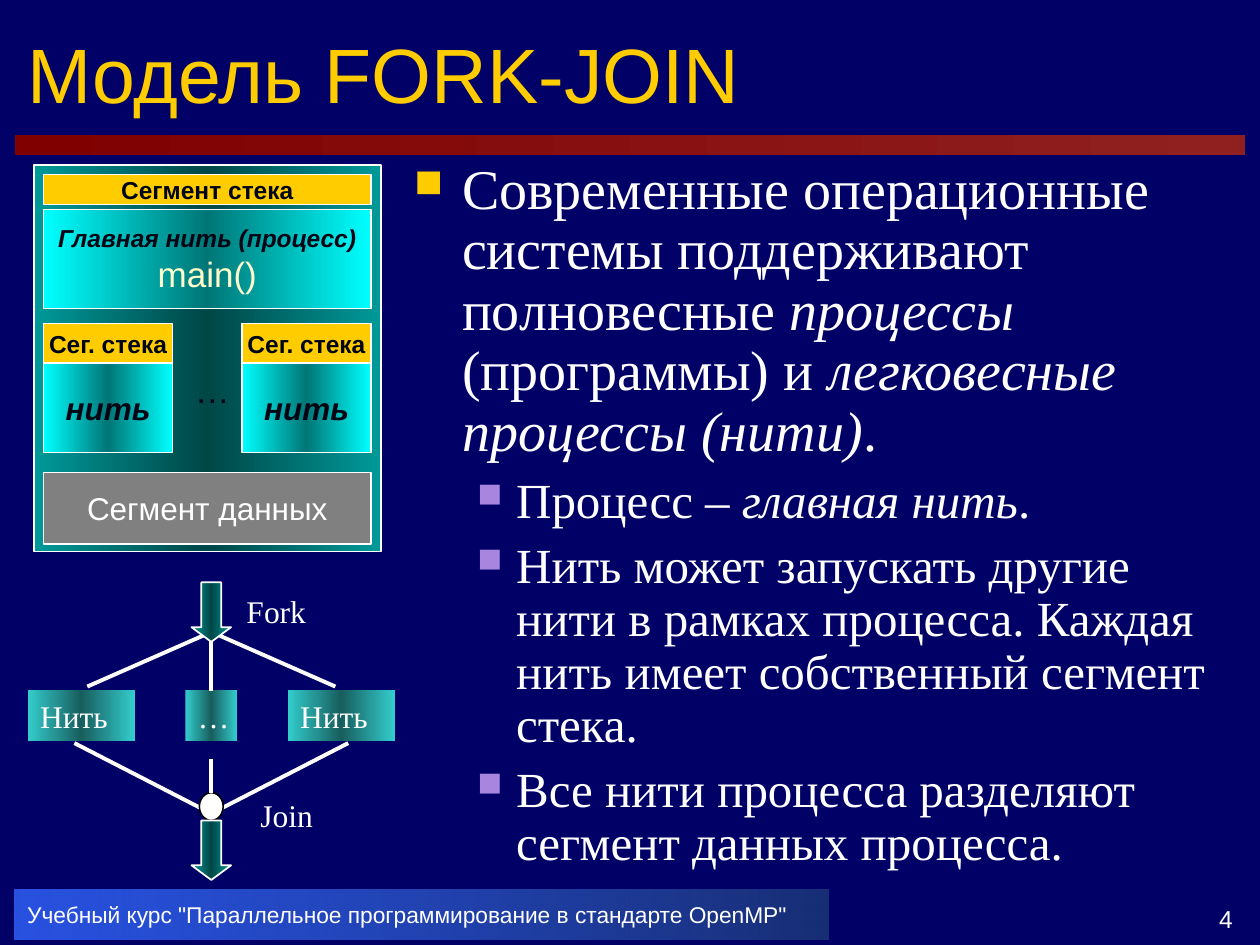
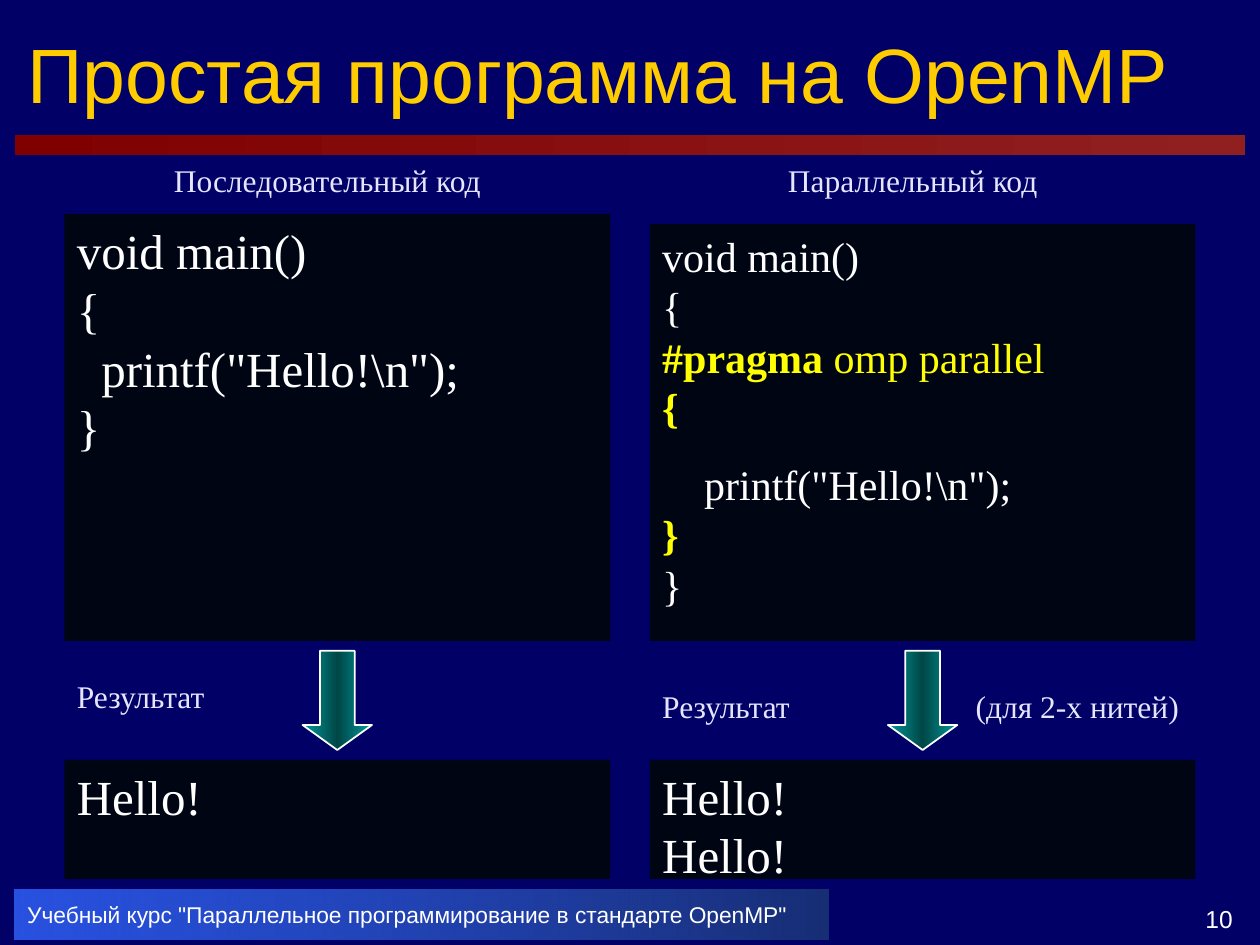
from dataclasses import dataclass

from lxml import etree
from pptx import Presentation
from pptx.dml.color import RGBColor
from pptx.enum.shapes import MSO_CONNECTOR, MSO_SHAPE
from pptx.enum.text import MSO_ANCHOR, PP_ALIGN
from pptx.oxml.ns import qn
from pptx.util import Emu, Inches, Pt

RECTANGLE, OVAL, DOWN_ARROW = MSO_SHAPE.RECTANGLE, MSO_SHAPE.OVAL, MSO_SHAPE.DOWN_ARROW
STRAIGHT = MSO_CONNECTOR.STRAIGHT
TOP, MIDDLE, BOTTOM = MSO_ANCHOR.TOP, MSO_ANCHOR.MIDDLE, MSO_ANCHOR.BOTTOM
LEFT, CENTER, RIGHT = PP_ALIGN.LEFT, PP_ALIGN.CENTER, PP_ALIGN.RIGHT

WIDTH, HEIGHT = Inches(10), Inches(7.5)
UNIT = WIDTH / 127  # square grid: 127 columns across the slide


@dataclass(frozen=True)
class Theme:
    sans: str = "Arial"
    serif: str = "Times New Roman"
    background: str = "000066"
    white: str = "FFFFFF"
    black: str = "000000"
    ink: str = "000514"
    gold: str = "FFCC00"
    violet: str = "A886E0"
    cream: str = "FFFFCC"
    caption: str = "E5E5FF"
    keyword: str = "FFFF00"
    gray: str = "808080"
    # Gradient stops: position, colour, opacity (all in percent)
    stripe: tuple = ((0, "800000", 100), (100, "902020", 100))
    footer: tuple = ((0, "3366FF", 80), (100, "182F76", 100))
    teal: tuple = ((0, "009999", 100), (50, "004747", 100), (100, "009999", 100))
    cyan: tuple = ((0, "00FFFF", 100), (50, "007676", 100), (100, "00FFFF", 100))
    node: tuple = ((0, "33CCCC", 100), (50, "185E5E", 100), (100, "33CCCC", 100))
    title_size: int = 44
    body_size: int = 32
    large_size: int = 28
    code_size: int = 24
    main_size: int = 20
    label_size: int = 18
    small_size: int = 14
    footer_size: int = 13


THEME = Theme()


@dataclass(frozen=True)
class Box:
    """A rectangle in grid units."""
    left: float
    top: float
    width: float = 0
    height: float = 0

    def inner(self, left, top, width=0, height=0):
        return Box(self.left + left, self.top + top, width, height)

    def emu(self):
        return [Emu(round(value * UNIT))
                for value in (self.left, self.top, self.width, self.height)]


def rgb(color):
    return RGBColor.from_string(color)


def paint(shape, fill):
    """Fill with a plain colour or with gradient stops running left to right."""
    if isinstance(fill, str):
        shape.fill.solid()
        shape.fill.fore_color.rgb = rgb(fill)
        return
    shape.fill.gradient()
    shape.fill.gradient_angle = 0
    stops = shape._element.spPr.find(".//" + qn("a:gsLst"))
    for stop in list(stops):
        stops.remove(stop)
    for position, color, opacity in fill:
        stop = etree.SubElement(stops, qn("a:gs"), pos=str(position * 1000))
        value = etree.SubElement(stop, qn("a:srgbClr"), val=color)
        if opacity < 100:
            etree.SubElement(value, qn("a:alpha"), val=str(opacity * 1000))


def add_shape(slide, box, fill, kind=RECTANGLE, line=None, line_width=0.75):
    shape = slide.shapes.add_shape(kind, *box.emu())
    shape.shadow.inherit = False
    paint(shape, fill)
    if line:
        shape.line.color.rgb = rgb(line)
        shape.line.width = Pt(line_width)
    else:
        shape.line.fill.background()
    return shape


def add_arrow(slide, box, head):
    arrow = add_shape(slide, box, THEME.teal, DOWN_ARROW, THEME.white, 1)
    arrow.adjustments[0], arrow.adjustments[1] = 0.5, head


def add_line(slide, start, end):
    x1, y1 = start.emu()[:2]
    x2, y2 = end.emu()[:2]
    connector = slide.shapes.add_connector(STRAIGHT, x1, y1, x2, y2)
    connector.line.color.rgb = rgb(THEME.white)
    connector.line.width = Pt(2.25)
    etree.SubElement(connector._element.spPr, qn("a:effectLst"))
    return connector


def add_bullet(paragraph, color, margin, indent):
    properties = paragraph._p.get_or_add_pPr()
    properties.set("marL", str(Inches(margin)))
    properties.set("indent", str(-Inches(indent)))
    bullet_color = etree.SubElement(properties, qn("a:buClr"))
    etree.SubElement(bullet_color, qn("a:srgbClr"), val=color)
    etree.SubElement(properties, qn("a:buSzPct"), val="70000")
    etree.SubElement(properties, qn("a:buChar"), char="■")


def add_tab(paragraph, columns):
    tabs = etree.SubElement(paragraph._p.get_or_add_pPr(), qn("a:tabLst"))
    etree.SubElement(tabs, qn("a:tab"), pos=str(round(columns * UNIT)), algn="l")


def write(frame, text, size, color=THEME.white, font=THEME.serif, bold=False,
          italic=False, align=LEFT, anchor=TOP, wrap=False, before=0,
          spacing=None, bullet=None, tab=None, level=0, more=False):
    """Write one paragraph; text is a string or a list of (text, changes) runs.

    With more=True the paragraph follows those already in the frame.
    """
    if more:
        paragraph = frame.add_paragraph()
    else:
        paragraph = frame.paragraphs[0]
        frame.word_wrap = wrap
        frame.vertical_anchor = anchor
    if bullet:
        add_bullet(paragraph, *bullet)
    if tab:
        add_tab(paragraph, tab)
    paragraph.level = level
    paragraph.alignment = align
    paragraph.space_before = Pt(before)
    if spacing:
        paragraph.line_spacing = spacing
    runs = [(text, {})] if isinstance(text, str) else text
    for content, changes in runs:
        style = {"color": color, "bold": bold, "italic": italic, **changes}
        for number, line in enumerate(content.split("\n")):
            if number:
                paragraph.add_line_break()
            if line:
                run = paragraph.add_run()
                run.text = line
                run.font.name, run.font.size = font, Pt(size)
                run.font.bold, run.font.italic = style["bold"], style["italic"]
                run.font.color.rgb = rgb(style["color"])


def add_text(slide, box, text, size, **style):
    frame = slide.shapes.add_textbox(*box.emu()).text_frame
    write(frame, text, size, **style)
    return frame


def add_panel(slide, box, fill, text, size, line=None, **style):
    shape = add_shape(slide, box, fill, line=line)
    write(shape.text_frame, text, size, **style)
    return shape


def add_base(presentation, title, number):
    """Background, title, stripe, footer and slide number."""
    slide = presentation.slides.add_slide(presentation.slide_layouts[6])
    slide.background.fill.solid()
    slide.background.fill.fore_color.rgb = rgb(THEME.background)
    add_shape(slide, Box(1.5, 13.6, 124, 2), THEME.stripe)
    add_text(slide, Box(1.5, 1.1, 124, 12.5), title, THEME.title_size,
             color=THEME.gold, font=THEME.sans, anchor=MIDDLE, wrap=True)
    footer = Box(1.5, 89.7, 82, 5)
    add_panel(slide, footer, THEME.footer,
              'Учебный курс "Параллельное программирование в стандарте OpenMP"',
              THEME.footer_size, font=THEME.sans, anchor=MIDDLE)
    add_text(slide, footer.inner(111, 0, 13, 5), str(number), THEME.small_size,
             font=THEME.sans, align=RIGHT, anchor=BOTTOM, wrap=True)
    return slide


def add_process(slide, box):
    """Memory of a process: stacks, threads and the data segment."""
    centered = {"font": THEME.sans, "align": CENTER, "anchor": MIDDLE}
    framed = {**centered, "line": THEME.white}
    stack = {**framed, "color": THEME.ink, "bold": True}
    thread = {**stack, "italic": True}
    add_shape(slide, box, THEME.teal, line=THEME.white, line_width=1)
    add_panel(slide, box.inner(1, 1, 33, 3), THEME.gold, "Сегмент стека",
              THEME.small_size, **stack)
    main_thread = add_panel(slide, box.inner(1, 4.5, 33, 10), THEME.cyan,
                            "Главная нить (процесс)", THEME.small_size, **thread)
    write(main_thread.text_frame, "main()", THEME.main_size, more=True,
          color=THEME.cream, font=THEME.sans, align=CENTER)
    for left in (1, 21):
        add_panel(slide, box.inner(left, 20, 13, 9), THEME.cyan, "нить",
                  THEME.label_size, **thread)
        add_panel(slide, box.inner(left, 16, 13, 4), THEME.gold, "Сег. стека",
                  THEME.small_size, **stack)
    add_text(slide, box.inner(15, 21, 5, 3.3), "…", THEME.main_size,
             color=THEME.ink, **centered)
    add_panel(slide, box.inner(1, 31, 33, 7.25), THEME.gray, "Сегмент данных",
              THEME.label_size, **framed)


def add_fork_join(slide, box):
    """Threads that separate at the fork and meet at the join."""
    axis = box.width / 2
    fork, join = box.inner(axis, 5), box.inner(axis, 23.3)

    # Outer branches
    for side in (-1, 1):
        add_line(slide, fork, box.inner(axis + side * 12.5, 10.5))
        add_line(slide, box.inner(axis + side * 13.8, 16.2), join)

    # Threads and join point
    side_width, middle_width = 10.8, 5.2
    for left, width, text in ((0, side_width, "Нить"),
                              (box.width - side_width, side_width, "Нить"),
                              (axis - middle_width / 2, middle_width, "…")):
        node = add_panel(slide, box.inner(left, 10.9, width, 5.1), THEME.node,
                         text, THEME.label_size)
    middle_branch = add_line(slide, fork, box.inner(axis, 10.9))
    middle_branch.end_connect(node, 0)
    point = add_shape(slide, box.inner(axis - 1.2, 21.2, 2.4, 2.8), THEME.white,
                      OVAL, THEME.black, 0.88)
    middle_return = add_line(slide, box.inner(axis, 17.8), box.inner(axis, 21.2))
    middle_return.end_connect(point, 0)

    # Arrows and their labels
    for top in (0, box.height - 6):
        add_arrow(slide, box.inner(axis - 2, top, 4, 6), 0.37)
    add_text(slide, box.inner(20.8, 0.4, 9.5, 5.1), "Fork", THEME.label_size)
    add_text(slide, box.inner(22.2, 20.9, 8.5, 5.1), "Join", THEME.label_size)


def add_body(slide, box):
    """Main statement with its points."""
    slanted = {"italic": True}
    frame = add_text(slide, box, [
        ("Современные операционные системы поддерживают полновесные ", {}),
        ("процессы", slanted), (" (программы) и ", {}),
        ("легковесные процессы (нити)", slanted), (".", {}),
    ], THEME.body_size, wrap=True, spacing=0.9, bullet=(THEME.gold, 0.38, 0.38))
    points = (
        [("Процесс – ", {}), ("главная нить", slanted), (".", {})],
        "Нить может запускать другие нити в рамках процесса. "
        "Каждая нить имеет собственный сегмент стека.",
        "Все нити процесса разделяют сегмент данных процесса.",
    )
    for point in points:
        write(frame, point, THEME.large_size, more=True, level=1, before=7,
              spacing=0.9, bullet=(THEME.violet, 0.81, 0.31))


def add_program(slide, box, caption, code, code_size, result, output, drop=0):
    """Caption, code, arrow and output; drop lowers the code and result label."""
    label = {"color": THEME.caption, "wrap": True}
    width = box.width
    add_text(slide, box.inner(-1, 0, width, 5.1), caption, THEME.label_size,
             align=CENTER, **label)
    panel = add_panel(slide, box.inner(0, 6 + drop, width, 43 - drop), THEME.ink,
                      code[0], code_size, wrap=True)
    for block in code[1:]:
        write(panel.text_frame, block, code_size, more=True, before=15)
    add_arrow(slide, box.inner(width / 2 - 3.5, 50, 7, 10), 0.36)
    add_text(slide, box.inner(0, 52 + drop, width, 5.1), result,
             THEME.label_size, tab=31.6, **label)
    add_panel(slide, box.inner(0, 61, width, 12), THEME.ink, output,
              THEME.large_size, wrap=True)


def build_model_slide(presentation):
    slide = add_base(presentation, "Модель FORK-JOIN", 4)
    add_body(slide, Box(40.5, 15.6, 85, 73))
    add_process(slide, Box(3.4, 16.6, 35, 39))
    add_fork_join(slide, Box(2.8, 58.7, 37, 30))


def build_program_slide(presentation):
    slide = add_base(presentation, "Простая программа на OpenMP", 10)
    directive = {"color": THEME.keyword}
    strong = {**directive, "bold": True}
    serial = ['void main()\n{\n  printf("Hello!\\n");\n}']
    parallel = [
        [("void main()\n{\n", {}), ("#pragma", strong),
         (" omp parallel\n", directive), ("{", strong)],
        [('    printf("Hello!\\n");\n', {}), ("}\n", strong), ("}", {})],
    ]
    add_program(slide, Box(6.5, 15.6, 55, 73), "Последовательный код", serial,
                THEME.large_size, "Результат", "Hello!")
    add_program(slide, Box(65.5, 15.6, 55, 73), "Параллельный код", parallel,
                THEME.code_size, "Результат\t(для 2-х нитей)",
                "Hello!\nHello!", drop=1)


def main():
    presentation = Presentation()
    presentation.slide_width, presentation.slide_height = WIDTH, HEIGHT
    build_model_slide(presentation)
    build_program_slide(presentation)
    presentation.save("out.pptx")


if __name__ == "__main__":
    main()
